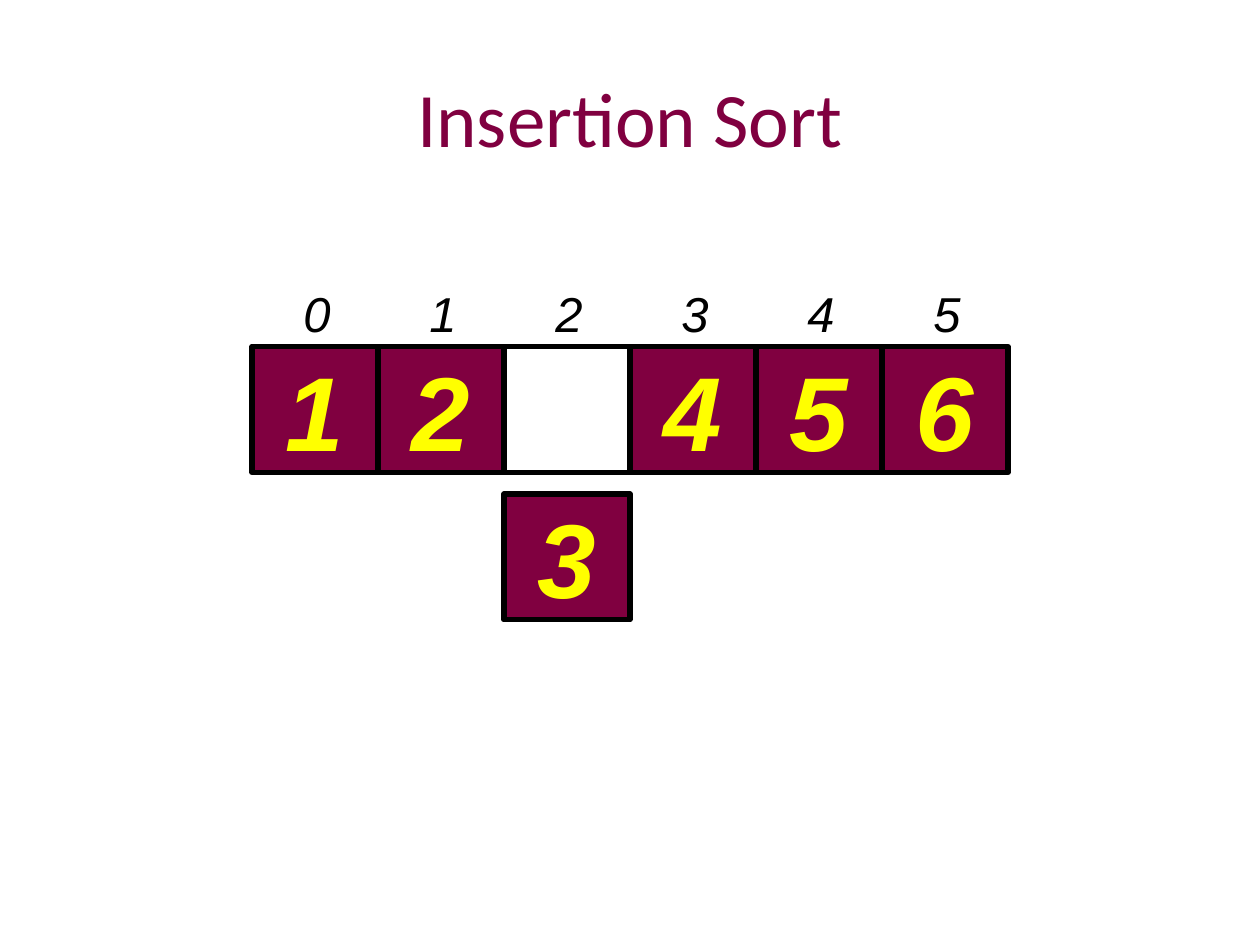
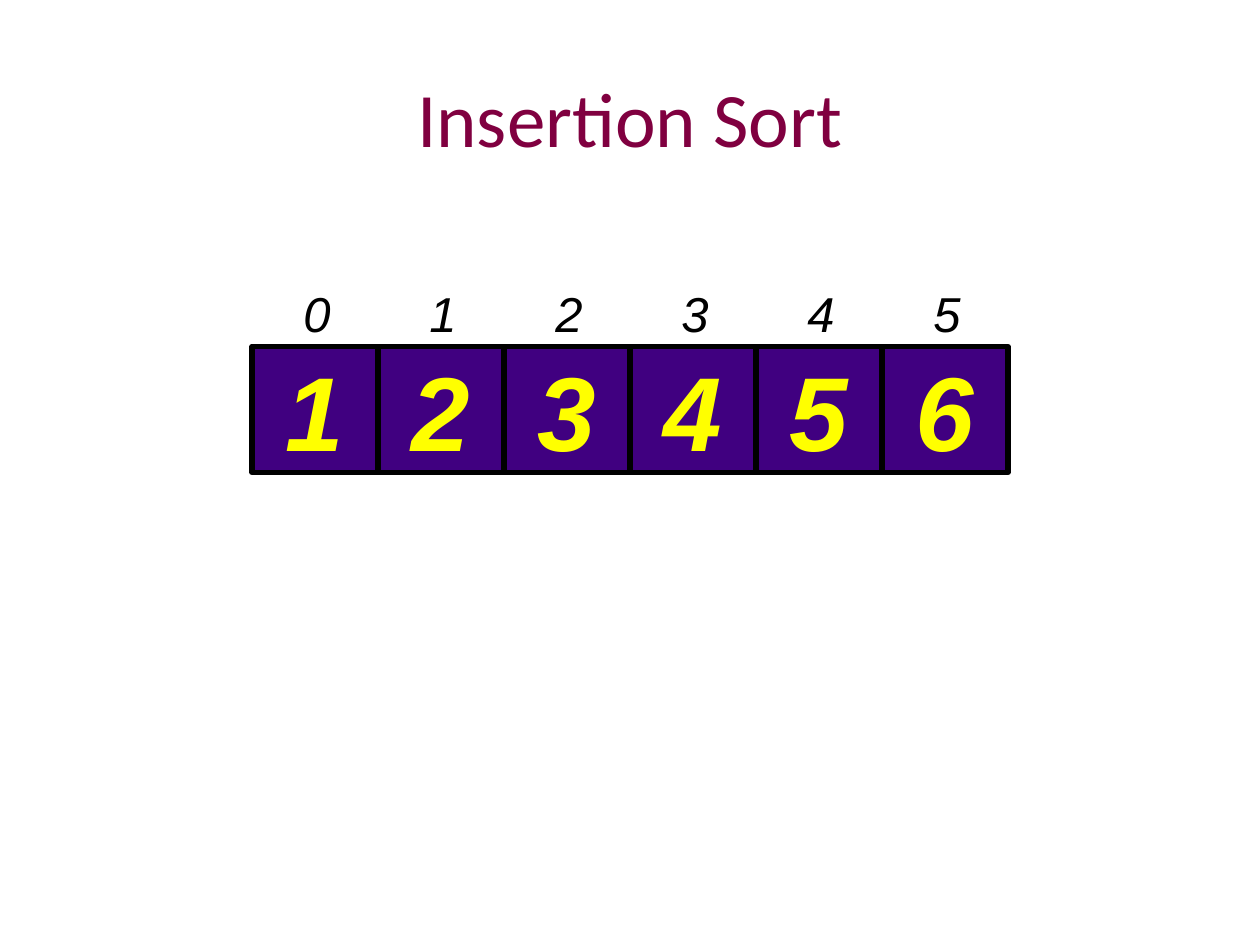
import pptx
import pptx.util
import pptx.dml.color
import pptx.enum.shapes
import pptx.enum.text

Inches = pptx.util.Inches
RGBColor = pptx.dml.color.RGBColor
Align = pptx.enum.text.PP_ALIGN
Anchor = pptx.enum.text.MSO_ANCHOR

MAROON = RGBColor(0x80, 0x00, 0x40)
INDIGO = RGBColor(0x40, 0x00, 0x80)
YELLOW = RGBColor(0xFF, 0xFF, 0x00)
BLACK = RGBColor(0x00, 0x00, 0x00)

TITLE_ONLY_LAYOUT = 5
CELL = Inches(1)
ARRAY_LEFT, ARRAY_TOP = Inches(2), Inches(2.75)
LIFTED_DROP = Inches(1.17)  # offset of a lifted cell below the array
VALUES = [1, 2, 3, 4, 5, 6]


def write(shape, text, *, size, color, font="Arial", bold=False, italic=False,
          align=Align.LEFT, anchor=Anchor.TOP, wrap=False):
    frame = shape.text_frame
    frame.word_wrap = wrap
    frame.vertical_anchor = anchor
    paragraph = frame.paragraphs[0]
    paragraph.alignment = align
    run = paragraph.add_run()
    run.text = text
    run.font.name = font
    run.font.size = pptx.util.Pt(size)
    run.font.bold = bold
    run.font.italic = italic
    run.font.color.rgb = color


def add_title(slide, text):
    title = slide.shapes.title
    title.left, title.top = Inches(0.5), Inches(0.3)
    title.width, title.height = Inches(9), Inches(1.25)
    write(title, text, size=44, color=MAROON, font="Calibri",
          align=Align.CENTER, anchor=Anchor.MIDDLE, wrap=True)


def add_index(slide, index, left, top):
    """Index label above the cell at left, top."""
    label = slide.shapes.add_textbox(left + Inches(0.31), top - Inches(0.55),
                                     Inches(0.42), Inches(0.57))
    write(label, str(index), size=28, color=BLACK, italic=True)


def add_cell(slide, left, top, value=None, fill=None):
    """Array cell; without a value it is an empty slot."""
    cell = slide.shapes.add_shape(pptx.enum.shapes.MSO_SHAPE.RECTANGLE,
                                  left, top, CELL, CELL)
    cell.shadow.inherit = False
    cell.line.color.rgb = BLACK
    cell.line.width = pptx.util.Pt(3)
    if value is None:
        cell.fill.background()
        return
    cell.fill.solid()
    cell.fill.fore_color.rgb = fill
    write(cell, str(value), size=60, color=YELLOW, bold=True, italic=True,
          align=Align.CENTER, anchor=Anchor.MIDDLE)


def add_array(slide, left, top, fill, lifted=None):
    """Row of indexed cells; the lifted one sits below its empty slot."""
    lefts = [left + index * CELL for index in range(len(VALUES))]
    for index, cell_left in enumerate(lefts):
        add_index(slide, index, cell_left, top)
    if lifted is not None:
        add_cell(slide, lefts[lifted], top)
    for index, value in enumerate(VALUES):
        drop = LIFTED_DROP if index == lifted else 0
        add_cell(slide, lefts[index], top + drop, value, fill)


def add_sort_slide(presentation, fill, lifted=None):
    layout = presentation.slide_layouts[TITLE_ONLY_LAYOUT]
    slide = presentation.slides.add_slide(layout)
    add_title(slide, "Insertion Sort")
    add_array(slide, ARRAY_LEFT, ARRAY_TOP, fill, lifted)


def main():
    presentation = pptx.Presentation()
    presentation.slide_width = Inches(10)
    presentation.slide_height = Inches(7.5)
    add_sort_slide(presentation, MAROON, lifted=2)  # 3 waits for its slot
    add_sort_slide(presentation, INDIGO)  # sorted
    presentation.save("out.pptx")


if __name__ == "__main__":
    main()
